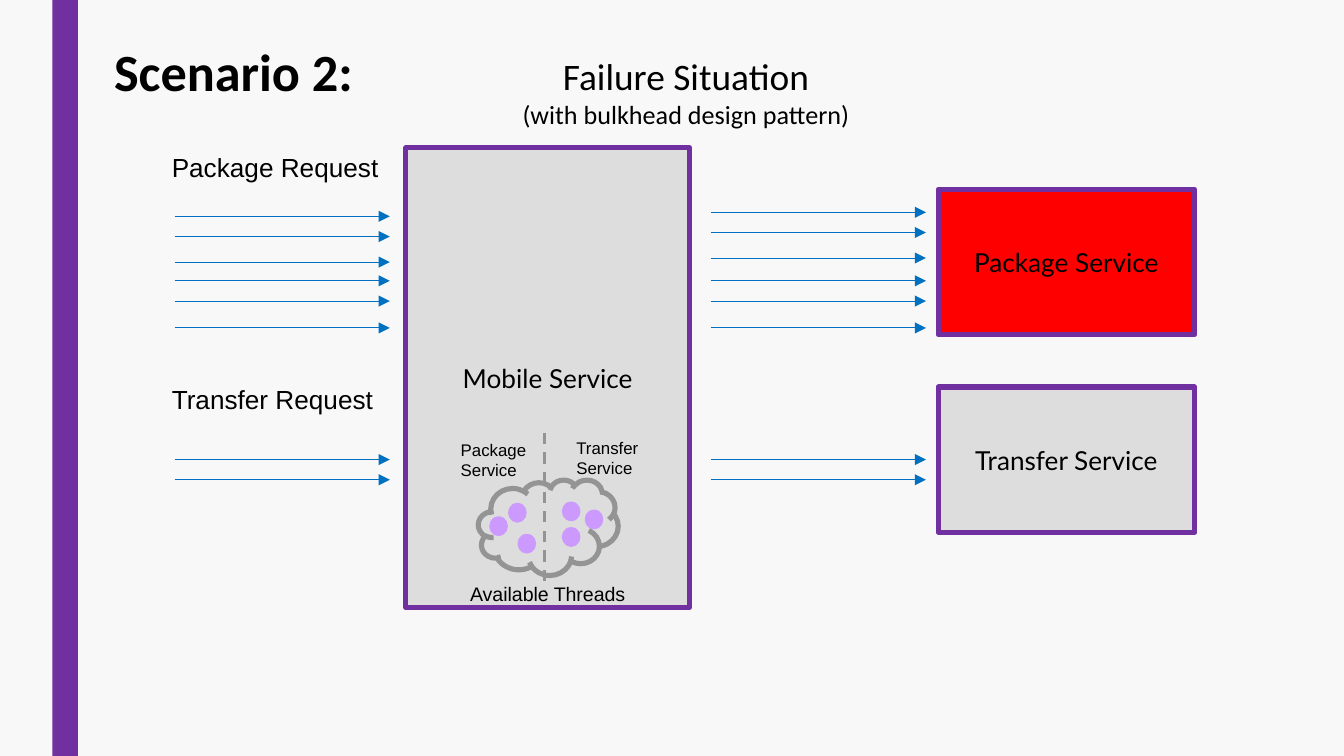
"""Build the bulkhead failure scenario slide."""
from lxml import etree
from pptx import Presentation, util as u
from pptx.dml.color import RGBColor
from pptx.enum import dml, shapes, text
from pptx.oxml.ns import qn

PURPLE = RGBColor(0x70, 0x30, 0xA0)
LILAC = RGBColor(0xCC, 0x99, 0xFF)
BLUE = RGBColor(0x00, 0x70, 0xC0)
RED = RGBColor(0xFF, 0x00, 0x00)
PALE = RGBColor(0xF8, 0xF8, 0xF8)
SILVER = RGBColor(0xDD, 0xDD, 0xDD)
GRAY = RGBColor(0x94, 0x94, 0x94)
BLACK = RGBColor(0x00, 0x00, 0x00)

WIDTH = 10
HEIGHT = WIDTH * 9 / 16
SERVICES = [
    ("Mobile Service", (3.02, 1.1, 2.11, 3.42), SILVER),
    ("Package Service", (6.98, 1.41, 1.91, 1.08), RED),
    ("Transfer Service", (6.98, 2.88, 1.91, 1.08), SILVER),
]
LABELS = [
    (["Scenario 2:"], (0.75, 0.24, 2.71, 0.57), "Calibri", [28], True, False),
    (["Failure Situation", "(with bulkhead design pattern)"],
     (3.3, 0.35, 3.61, 0.67), "Calibri", [20, 14], False, True),
    (["Package Request"], (1.18, 1.08, 1.84, 0.34), "Arial", [14], False, False),
    (["Transfer Request"], (1.18, 2.8, 1.84, 0.34), "Arial", [14], False, False),
    (["Package", "Service"], (3.33, 3.22, 0.7, 0.4), "Arial", [9, 9], False, False),
    (["Transfer", "Service"], (4.19, 3.21, 0.7, 0.4), "Arial", [9, 9], False, False),
    (["Available Threads"], (3.4, 4.28, 1.6, 0.28), "Arial", [10.5], False, False),
]
ARROW_LENGTH = 1.6
SHARED_ROWS = [2.09, 2.24, 2.44, 3.42, 3.57]
ARROW_COLUMNS = {
    1.3: [1.61, 1.76, 1.95] + SHARED_ROWS,
    5.29: [1.58, 1.73, 1.92] + SHARED_ROWS,
}
CLOUD = (3.56, 3.57, 1.04, 0.71)
THREADS = [(3.8, 3.76), (3.66, 3.86), (3.87, 3.99),
           (4.2, 3.75), (4.2, 3.94), (4.37, 3.81)]
THREAD_SIZE = (0.1, 0.11)
DIVIDER = (4.05, 3.22, 4.05, 4.4)


def inches(values):
    return [u.Inches(value) for value in values]


def add_shape(slide, kind, box, fill, line=None):
    shape = slide.shapes.add_shape(kind, *inches(box))
    shape.shadow.inherit = False
    shape.fill.solid()
    shape.fill.fore_color.rgb = fill
    if line is None:
        shape.line.fill.background()
    else:
        shape.line.color.rgb = line
        shape.line.width = u.Pt(2.75)
    return shape


def write(frame, lines, font, sizes, bold=False, centered=False):
    frame.word_wrap = True
    for index, (line, size) in enumerate(zip(lines, sizes)):
        paragraph = frame.add_paragraph() if index else frame.paragraphs[0]
        paragraph.text = line
        paragraph.alignment = text.PP_ALIGN.CENTER if centered else text.PP_ALIGN.LEFT
        paragraph.font.name = font
        paragraph.font.size = u.Pt(size)
        paragraph.font.bold = bold
        paragraph.font.color.rgb = BLACK


def add_line(slide, ends, color, width):
    line = slide.shapes.add_connector(shapes.MSO_CONNECTOR.STRAIGHT, *inches(ends))
    line.line.color.rgb = color
    line.line.width = u.Pt(width)
    etree.SubElement(line._element.spPr, qn("a:effectLst"))
    return line


def main():
    presentation = Presentation()
    presentation.slide_width, presentation.slide_height = inches((WIDTH, HEIGHT))
    slide = presentation.slides.add_slide(presentation.slide_layouts[6])
    slide.background.fill.solid()
    slide.background.fill.fore_color.rgb = PALE
    kinds = shapes.MSO_SHAPE
    add_shape(slide, kinds.RECTANGLE, (0.39, 0, 0.19, HEIGHT), PURPLE)

    for name, box, fill in SERVICES:
        service = add_shape(slide, kinds.RECTANGLE, box, fill, PURPLE)
        service.text_frame.vertical_anchor = text.MSO_ANCHOR.MIDDLE
        write(service.text_frame, [name], "Lato", [14], centered=True)

    for left, rows in ARROW_COLUMNS.items():
        for row in rows:
            arrow = add_line(slide, (left, row, left + ARROW_LENGTH, row), BLUE, 0.5)
            outline = arrow._element.spPr.find(qn("a:ln"))
            etree.SubElement(outline, qn("a:tailEnd"), type="triangle")

    add_shape(slide, kinds.CLOUD, CLOUD, SILVER, GRAY)
    for corner in THREADS:
        add_shape(slide, kinds.OVAL, corner + THREAD_SIZE, LILAC, LILAC)
    divider = add_line(slide, DIVIDER, GRAY, 1.5)
    divider.line.dash_style = dml.MSO_LINE.DASH

    for lines, box, font, sizes, bold, centered in LABELS:
        label = slide.shapes.add_textbox(*inches(box))
        write(label.text_frame, lines, font, sizes, bold, centered)

    presentation.save("out.pptx")


if __name__ == "__main__":
    main()
